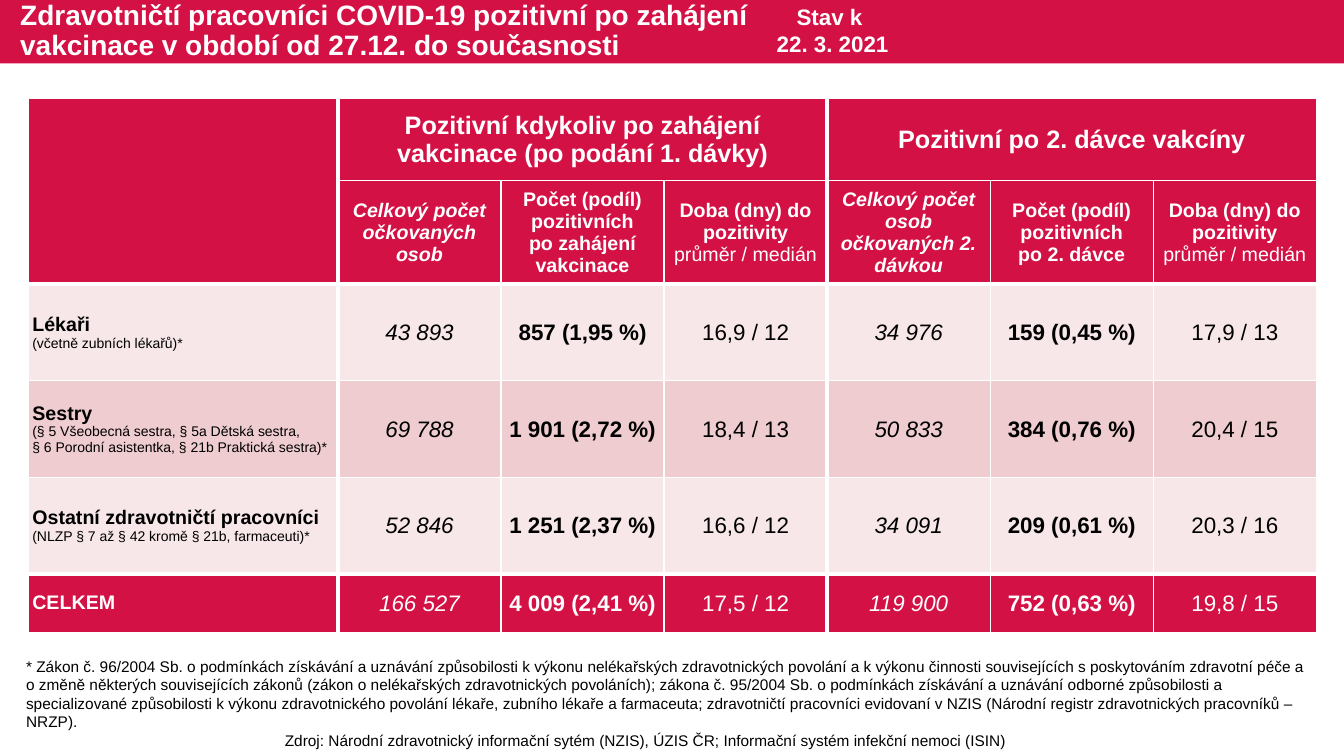
from lxml import etree
from pptx import Presentation
from pptx.dml.color import RGBColor
from pptx.enum import shapes, text
from pptx.oxml.ns import qn
from pptx.util import Pt

RED = RGBColor(0xD3, 0x11, 0x45)
LIGHT = RGBColor(0xF7, 0xE7, 0xE9)
PINK = RGBColor(0xEF, 0xCC, 0xCF)
WHITE = RGBColor(0xFF, 0xFF, 0xFF)
BLACK = RGBColor(0, 0, 0)
CENTER = text.PP_ALIGN.CENTER
LEFT = text.PP_ALIGN.LEFT


def write(tf, lines, size=16, color=BLACK, bold=False, italic=False, align=CENTER, rest=None):
    for i, line in enumerate(lines):
        p = tf.paragraphs[0] if i == 0 else tf.add_paragraph()
        p.alignment = align
        for j, part in enumerate(line.split("\v")):
            if j:
                p.add_line_break()
            r = p.add_run()
            r.text = part
            f = r.font
            f.name, f.size, f.italic = "Arial", Pt(size), italic
            f.bold = bold
            f.color.rgb = color
            if rest and i:
                f.size, f.bold = Pt(rest), False


def border(cell, widths):
    pr = cell._tc.get_or_add_tcPr()
    for i, (side, width) in enumerate(widths.items()):
        ln = etree.Element(qn("a:" + side), w=str(Pt(width)))
        if width:
            fill = etree.SubElement(ln, qn("a:solidFill"))
            etree.SubElement(fill, qn("a:srgbClr"), val=str(WHITE))
        else:
            etree.SubElement(ln, qn("a:noFill"))
        pr.insert(i, ln)


prs = Presentation()
prs.slide_width, prs.slide_height = Pt(960), Pt(540)
s = prs.slides.add_slide(prs.slide_layouts[5])

title = s.shapes.title
bar = s.shapes.add_shape(shapes.MSO_SHAPE.RECTANGLE, 0, 0, Pt(960), Pt(45.4))
bar.shadow.inherit = False
bar.fill.solid()
bar.fill.fore_color.rgb = RED
bar.line.fill.background()
title._element.addprevious(bar._element)

title.left, title.top, title.width, title.height = Pt(7.2), Pt(0), Pt(585.4), Pt(45.4)
tf = title.text_frame
tf.word_wrap = True
tf.auto_size = text.MSO_AUTO_SIZE.NONE
tf.vertical_anchor = text.MSO_ANCHOR.MIDDLE
write(tf, ["Zdravotničtí pracovníci COVID-19 pozitivní po zahájení \v"
           "vakcinace v období od 27.12. do současnosti"],
      size=20, color=WHITE, bold=True, align=LEFT)
tf.paragraphs[0].line_spacing = 0.9

duration = ["Doba (dny) do pozitivity", "průměr / medián"]
heads = [
    ["Celkový počet očkovaných osob"],
    ["Počet (podíl) pozitivních", "po zahájení vakcinace"],
    duration,
    ["Celkový počet osob očkovaných 2. dávkou"],
    ["Počet (podíl) pozitivních", "po 2. dávce"],
    duration,
]
groups = {1: "Pozitivní kdykoliv po zahájení vakcinace (po podání 1. dávky)",
          4: "Pozitivní po 2. dávce vakcíny"}
rows = [
    (["Lékaři", "(včetně zubních lékařů)*"],
     "43 893", "857 (1,95 %)", "16,9 / 12", "34 976", "159 (0,45 %)", "17,9 / 13"),
    (["Sestry", "(§ 5 Všeobecná sestra, § 5a Dětská sestra,",
      "§ 6 Porodní asistentka, § 21b Praktická sestra)*"],
     "69 788", "1 901 (2,72 %)", "18,4 / 13", "50 833", "384 (0,76 %)", "20,4 / 15"),
    (["Ostatní zdravotničtí pracovníci", "(NLZP § 7 až § 42 kromě § 21b, farmaceuti)*"],
     "52 846", "1 251 (2,37 %)", "16,6 / 12", "34 091", "209 (0,61 %)", "20,3 / 16"),
    (["CELKEM"],
     "166 527", "4 009 (2,41 %)", "17,5 / 12", "119 900", "752 (0,63 %)", "19,8 / 15"),
]
fills = [RED, RED, LIGHT, PINK, LIGHT, RED]

table = s.shapes.add_table(6, 7, Pt(20.4), Pt(70.4), Pt(920), Pt(381.5)).table
table.horz_banding = False
for i, width in enumerate([221] + [116.5] * 6):
    table.columns[i].width = Pt(width)
for i, height in enumerate([58.5, 74, 69, 69, 69, 42]):
    table.rows[i].height = Pt(height)

for row in range(6):
    for col in range(7):
        cell = table.cell(row, col)
        cell.fill.solid()
        cell.fill.fore_color.rgb = fills[row]
        cell.vertical_anchor = text.MSO_ANCHOR.MIDDLE
        label = row < 2 or col == 0
        cell.margin_left = cell.margin_right = Pt(2.7 if label else 0.7)
        cell.margin_top = Pt(0 if label else 0.7)
        cell.margin_bottom = Pt(0)
        corner = col == 0 and row < 2
        border(cell, {
            "lnL": 3 if col in (1, 4) else 1,
            "lnR": 3 if col in (0, 3) or (row == 0 and col == 1) else 1,
            "lnT": 0 if corner and row == 1 else 3 if row in (2, 5) else 1,
            "lnB": 0 if corner and row == 0 else 3 if row == 1 else 1,
        })
        color = WHITE if fills[row] == RED else BLACK
        tf = cell.text_frame
        if row == 0 and col in groups:
            write(tf, [groups[col]], size=18, color=color, bold=True)
        elif row == 1 and col:
            write(tf, heads[col - 1], size=14, color=color, bold=True,
                  italic=col in (1, 4), rest=14 if col in (3, 6) else None)
        elif row > 1 and col == 0:
            write(tf, rows[row - 2][0], size=14, color=color, bold=True, align=LEFT, rest=10)
        elif row > 1:
            write(tf, [rows[row - 2][col]], color=color,
                  bold=col in (2, 5), italic=col in (1, 4))

for col in groups:
    table.cell(0, col).merge(table.cell(0, col + 2))

notes = [
    ((136.8, 518.4, 652.3, 20.9),
     ["Zdroj: Národní zdravotnický informační sytém (NZIS), ÚZIS ČR; "
      "Informační systém infekční nemoci (ISIN) "], dict(size=11)),
    ((11.5, 465.8, 937.4, 47.5),
     ["* Zákon č. 96/2004 Sb. o podmínkách získávání a uznávání způsobilosti k výkonu "
      "nelékařských zdravotnických povolání a k výkonu činnosti souvisejících s poskytováním "
      "zdravotní péče a o změně některých souvisejících zákonů (zákon o nelékařských "
      "zdravotnických povoláních); zákona č. 95/2004 Sb. o podmínkách získávání a uznávání "
      "odborné způsobilosti a specializované způsobilosti k výkonu zdravotnického povolání "
      "lékaře, zubního lékaře a farmaceuta; zdravotničtí pracovníci evidovaní v NZIS "
      "(Národní registr zdravotnických pracovníků – NRZP)."], dict(size=11, align=LEFT)),
    ((545.8, -1.4, 97.9, 46.1), ["Stav k ", "22. 3. 2021"], dict(color=WHITE, bold=True)),
]
for box, lines, style in notes:
    tf = s.shapes.add_textbox(*map(Pt, box)).text_frame
    tf.word_wrap = True
    tf.auto_size = text.MSO_AUTO_SIZE.SHAPE_TO_FIT_TEXT
    write(tf, lines, **style)

prs.save("out.pptx")
